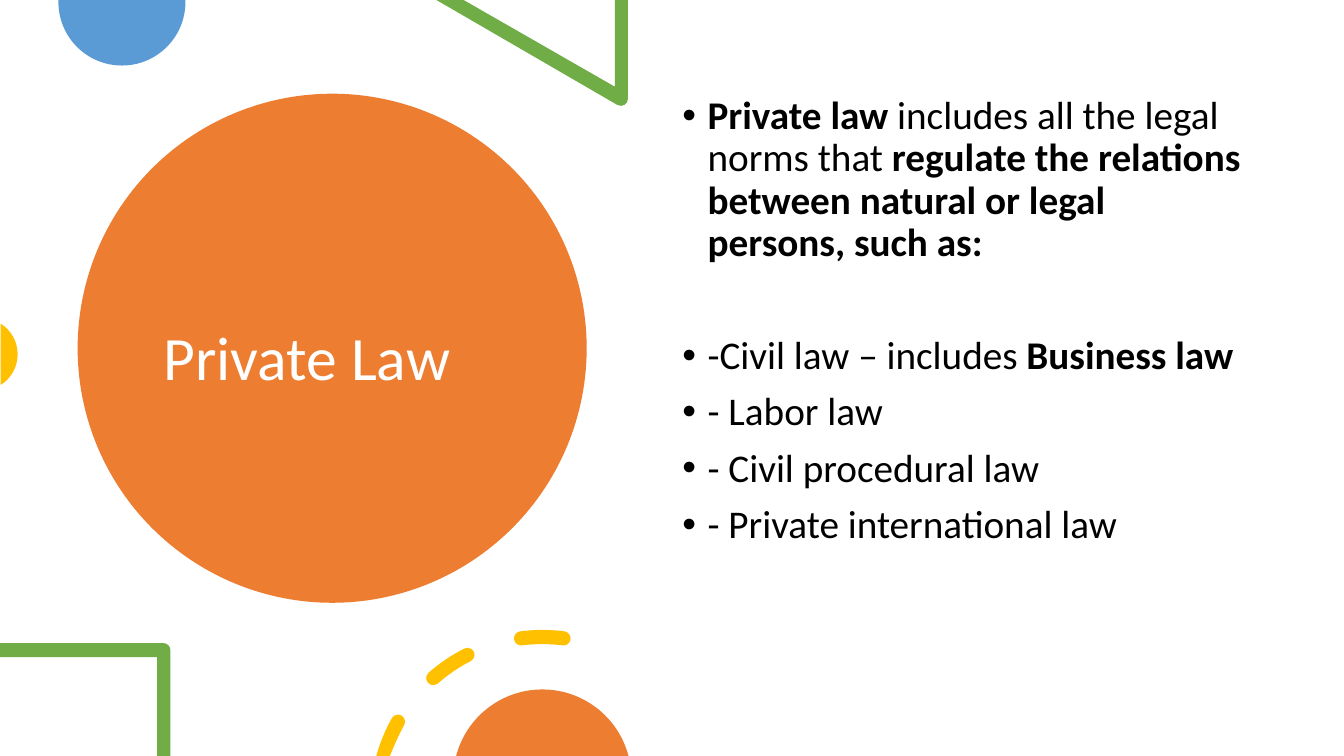
import math

from lxml import etree
from pptx import Presentation, util as u
from pptx.dml.color import RGBColor
from pptx.enum import shapes, text
from pptx.oxml.ns import qn

# Grid: square cells of a tenth of an inch
CELL = u.Inches(0.1)
COLUMNS, ROWS = 133.33, 75

FONT = "Calibri"
ORANGE, BLUE, GREEN, YELLOW = "ED7D31", "5B9BD5", "70AD47", "FFC000"
WHITE, BLACK = "FFFFFF", "000000"
STROKE = 0.7  # half the thickness of the drawn bands

ITEMS = [
    [("Private law ", True), ("includes all the legal norms that ", False),
     ("regulate the relations between natural or legal persons, such as:", True)],
    [("-Civil law – includes ", False), ("Business law", True)],
    [("- Labor law", False)],
    [("- Civil procedural law", False)],
    [("- Private international law", False)],
]


def cells(count):
    return round(count * CELL)


def colour(value):
    return RGBColor.from_string(value)


def paint(shape, fill):
    shape.shadow.inherit = False
    shape.fill.solid()
    shape.fill.fore_color.rgb = colour(fill)
    shape.line.fill.background()


# Outlines: a list of steps, each one point (line) or three points (curve)
def lines(*points):
    return [[point] for point in points]


def polar(column, row, radius, degrees):
    angle = math.radians(degrees)
    return (round(column + radius * math.cos(angle), 2),
            min(round(row + radius * math.sin(angle), 2), ROWS))


def arc(column, row, radius, start, end):
    """A line to the start, then curves; degrees run clockwise from the right."""
    pieces = math.ceil(abs(end - start) / 90)
    turn = (end - start) / pieces
    handle = 4 / 3 * math.tan(math.radians(turn) / 4)
    reach = radius * math.hypot(1, handle)
    lean = math.degrees(math.atan(handle))
    steps = lines(polar(column, row, radius, start))
    for piece in range(pieces):
        angle = start + piece * turn
        steps.append([polar(column, row, reach, angle + lean),
                      polar(column, row, reach, angle + turn - lean),
                      polar(column, row, radius, angle + turn)])
    return steps


def dash(column, row, radius, start, end):
    """A round-ended piece of a ring, flat where it meets the foot of the slide."""
    def cap(angle, turn):
        middle = polar(column, row, radius, angle)
        if middle[1] >= ROWS:
            return []
        return arc(*middle, STROKE, angle + turn, angle + turn + 180)

    return (arc(column, row, radius + STROKE, start, end) + cap(end, 0)
            + arc(column, row, radius - STROKE, end, start) + cap(start, 180))


def add_outline(page, fill, *contours):
    builder, sizes = None, []
    for contour in contours:
        steps = contour[:1]
        for step in contour[1:]:
            if len(step) == 3 or math.dist(step[0], steps[-1][-1]) > 0.05:
                steps.append(step)
        first, *rest = [(cells(x), cells(y)) for step in steps for x, y in step]
        if builder is None:
            builder = page.shapes.build_freeform(*first, scale=1.0)
        else:
            builder.move_to(*first)
        builder.add_line_segments(rest, close=True)
        sizes += [len(step) for step in steps[1:]]
    shape = builder.convert_to_shape()
    # Turn each run of three line points into one curve
    segments = iter(list(shape.element.iter(qn("a:lnTo"))))
    for size in sizes:
        group = [next(segments) for _ in range(size)]
        if size == 3:
            curve = etree.Element(qn("a:cubicBezTo"))
            group[0].addprevious(curve)
            for segment in group:
                curve.append(segment[0])
                segment.getparent().remove(segment)
    paint(shape, fill)


def place(box, left, top, width, height, anchor):
    box.left, box.top = cells(left), cells(top)
    box.width, box.height = cells(width), cells(height)
    frame = box.text_frame
    frame.word_wrap = True
    frame.auto_size = text.MSO_AUTO_SIZE.NONE
    frame.vertical_anchor = anchor
    return frame


def add_span(para, words, size=28, color=BLACK, bold=False):
    para.alignment = text.PP_ALIGN.LEFT
    para.line_spacing = 0.9
    span = para.add_run()
    span.text = words
    span.font.name, span.font.size, span.font.bold = FONT, u.Pt(size), bold
    span.font.color.rgb = colour(color)


def add_bullet(para):
    properties = para._p.get_or_add_pPr()
    properties.set("marL", str(cells(2.5)))
    properties.set("indent", str(cells(-2.5)))
    etree.SubElement(properties, qn("a:buFont")).set("typeface", "Arial")
    etree.SubElement(properties, qn("a:buChar")).set("char", "•")


def add_title(page):
    title = page.shapes.title
    frame = place(title, 15.2, 13.5, 35.4, 44.5, text.MSO_ANCHOR.MIDDLE)
    add_span(frame.paragraphs[0], "Private Law", size=44, color=WHITE)
    circle = page.shapes.add_shape(shapes.MSO_SHAPE.OVAL, cells(7.7), cells(9.3),
                                   cells(50.5), cells(50.5))
    paint(circle, ORANGE)
    title.element.addprevious(circle.element)


def add_list(page):
    frame = place(page.placeholders[1], 66.7, 9, 57.5, 53.5, text.MSO_ANCHOR.TOP)
    for index, item in enumerate(ITEMS):
        para = frame.paragraphs[0] if index == 0 else frame.add_paragraph()
        for words, bold in item:
            add_span(para, words, bold=bold)
        # A wide gap sets the examples apart from the definition
        para.space_before = u.Pt(50.4 if index == 1 else 10)
        add_bullet(para)


def add_decoration(page):
    # Discs cut by the slide edges
    add_outline(page, BLUE, lines((18.4, 0), (5.8, 0)) + arc(12.1, 0.2, 6.3, 180, 0))
    add_outline(page, YELLOW, arc(-1.85, 35.15, 3.6, -58, 58))
    add_outline(page, ORANGE, arc(53.8, 77.24, 8.84, 194.7, 345.3))
    # Triangle corner at the top
    add_outline(page, GREEN, lines((62.3, 0), (61, 0), (61, 8.6), (46, 0), (43.3, 0))
                + arc(61.6, 9.8, STROKE, 120, 0))
    # Square corner at the bottom left
    add_outline(page, GREEN, lines((16.9, ROWS), (15.6, ROWS), (15.6, 65.2), (0, 65.2), (0, 63.8))
                + arc(16.2, 64.5, STROKE, 270, 360))
    # Dashed ring
    spans = [(195.6, 209.2), (228.7, 243.1), (262.6, 277.4)]
    add_outline(page, YELLOW, *[dash(53.8, 79.6, 16.4, *ends) for ends in spans])


def main():
    deck = Presentation()
    deck.slide_width, deck.slide_height = cells(COLUMNS), cells(ROWS)
    page = deck.slides.add_slide(deck.slide_layouts[1])
    page.background.fill.solid()
    page.background.fill.fore_color.rgb = colour(WHITE)
    add_title(page)
    add_list(page)
    add_decoration(page)
    deck.save("out.pptx")


if __name__ == "__main__":
    main()
